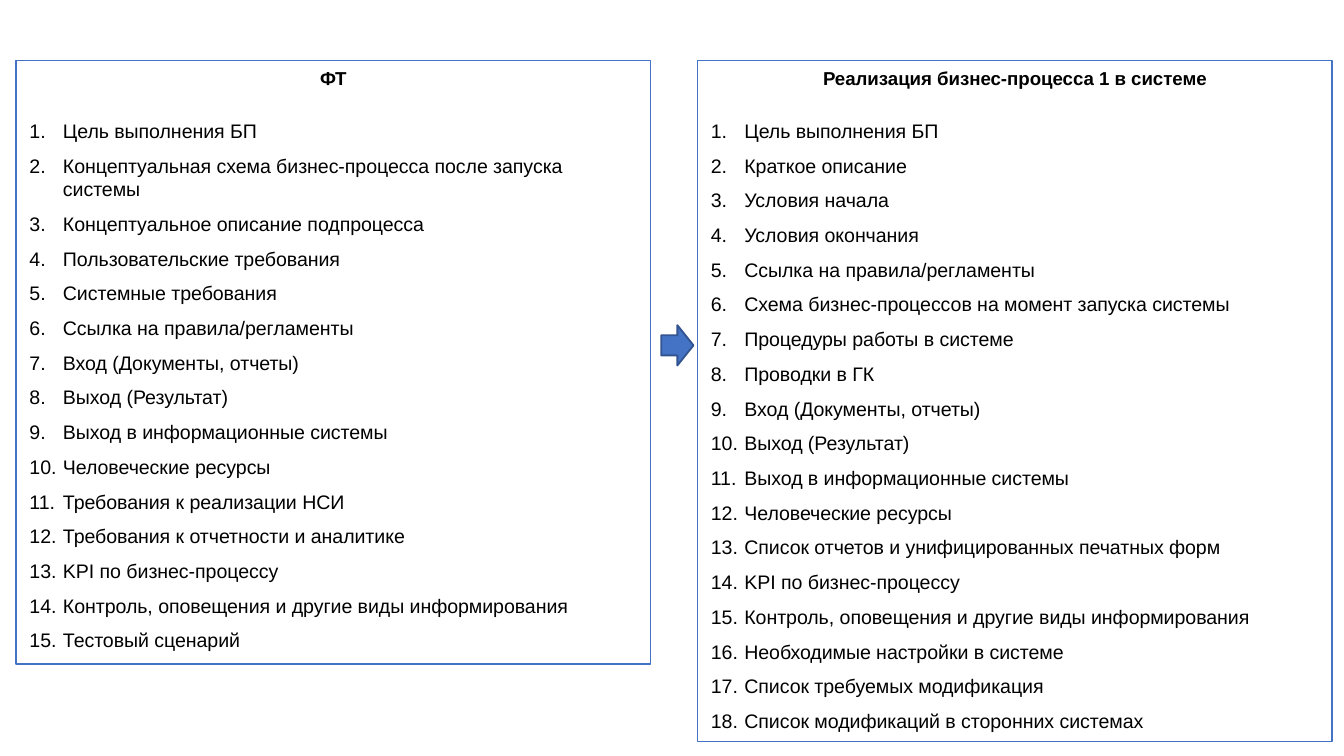
from pptx import Presentation
from pptx.dml.color import RGBColor
from pptx.enum.shapes import MSO_SHAPE as Shape
from pptx.enum.text import MSO_ANCHOR as Anchor, PP_ALIGN as Align
from pptx.oxml.ns import qn
from pptx.util import Inches, Pt
from lxml.etree import SubElement

BLUE, NAVY, BLACK = "4472C4", "325491", "000000"
WIDE, TOP = 4.72, 0.45

LEFT = [
    "Цель выполнения БП",
    "Концептуальная схема бизнес-процесса после запуска системы",
    "Концептуальное описание подпроцесса",
    "Пользовательские требования",
    "Системные требования",
    "Ссылка на правила/регламенты",
    "Вход (Документы, отчеты)",
    "Выход (Результат)",
    "Выход в информационные системы",
    "Человеческие ресурсы",
    "Требования к реализации НСИ",
    "Требования к отчетности и аналитике",
    "KPI по бизнес-процессу",
    "Контроль, оповещения и другие виды информирования",
    "Тестовый сценарий",
]
RIGHT = [
    "Цель выполнения БП",
    "Краткое описание",
    "Условия начала",
    "Условия окончания",
    "Ссылка на правила/регламенты",
    "Схема бизнес-процессов на момент запуска системы",
    "Процедуры работы в системе",
    "Проводки в ГК",
    "Вход (Документы, отчеты)",
    "Выход (Результат)",
    "Выход в информационные системы",
    "Человеческие ресурсы",
    "Список отчетов и унифицированных печатных форм",
    "KPI по бизнес-процессу",
    "Контроль, оповещения и другие виды информирования",
    "Необходимые настройки в системе",
    "Список требуемых модификация",
    "Список модификаций в сторонних системах",
]

HEAD = {"size": Pt(10), "bold": True, "name": "Arial"}
ITEM = {"size": Pt(10.5), "bold": False, "name": "Arial"}
HEAD_GAP = {"alignment": Align.CENTER, "space_after": Pt(9.7)}
ITEM_GAP = {"alignment": Align.LEFT, "space_before": Pt(6)}
FRAME = {
    "word_wrap": True,
    "vertical_anchor": Anchor.TOP,
    "margin_left": Inches(0.1),
    "margin_right": Inches(0.1),
    "margin_top": Inches(0.05),
    "margin_bottom": Inches(0.05),
}


def color(code):
    """Turn a hex string into a colour."""
    return RGBColor.from_string(code)


def style(target, values):
    """Set attributes from a dict of values."""
    for name, value in values.items():
        setattr(target, name, value)


def draw(slide, kind, box, line, width, fill=None):
    """Add a preset shape with its outline and fill."""
    shape = slide.shapes.add_shape(kind, *map(Inches, box))
    shape.shadow.inherit = False
    shape.line.color.rgb = color(line)
    shape.line.width = Pt(width)
    if fill:
        shape.fill.solid()
        shape.fill.fore_color.rgb = color(fill)
    else:
        shape.fill.background()
    return shape


def write(para, text, font, gap):
    """Fill a paragraph with one styled run."""
    style(para, gap)
    run = para.add_run()
    run.text = text
    style(run.font, font)
    run.font.color.rgb = color(BLACK)


def number(para):
    """Give a paragraph an automatic number and hanging indent."""
    props = para._p.get_or_add_pPr()
    indent = Inches(0.25)
    props.set("marL", str(indent))
    props.set("indent", str(-indent))
    SubElement(props, qn("a:buFont"), typeface="+mj-lt")
    SubElement(props, qn("a:buAutoNum"), type="arabicPeriod")


def panel(slide, box, title, items):
    """Place an outlined panel with a heading and a numbered list."""
    frame = draw(slide, Shape.RECTANGLE, box, BLUE, 0.75).text_frame
    style(frame, FRAME)
    write(frame.paragraphs[0], title, HEAD, HEAD_GAP)
    for item in items:
        para = frame.add_paragraph()
        write(para, item, ITEM, ITEM_GAP)
        number(para)


def main():
    """Build the slide and save it."""
    deck = Presentation()
    style(deck, {"slide_width": Inches(10), "slide_height": Inches(10 * 9 / 16)})
    slide = deck.slides.add_slide(deck.slide_layouts[6])
    panel(slide, (5.19, TOP, WIDE, 5.07), "Реализация бизнес-процесса 1 в системе", RIGHT)
    draw(slide, Shape.RIGHT_ARROW, (4.92, 2.42, 0.24, 0.3), NAVY, 1, BLUE)
    panel(slide, (0.12, TOP, WIDE, 4.49), "ФТ", LEFT)
    deck.save("out.pptx")


if __name__ == "__main__":
    main()
